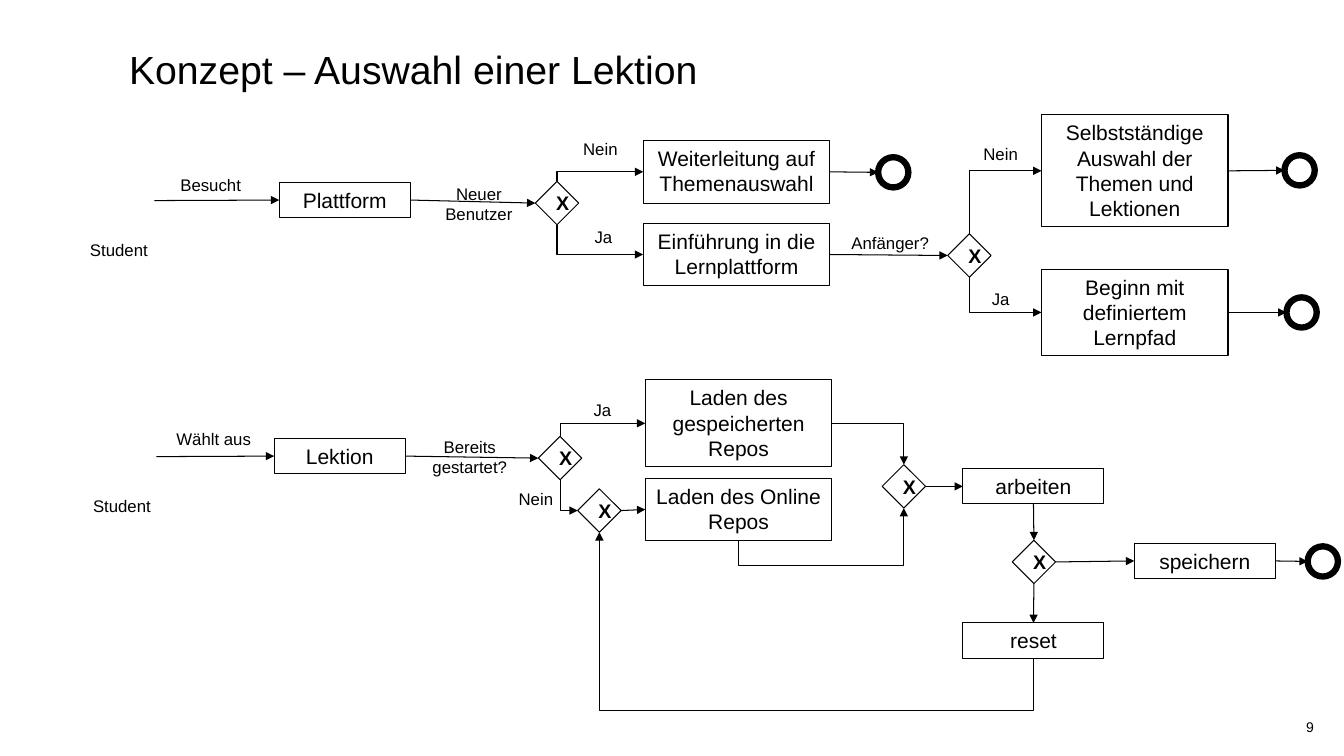
from lxml import etree
from pptx import Presentation
from pptx.dml.color import RGBColor
from pptx.enum.shapes import MSO_CONNECTOR, MSO_SHAPE
from pptx.enum.text import MSO_ANCHOR, MSO_AUTO_SIZE, PP_ALIGN
from pptx.oxml.ns import qn
from pptx.util import Inches, Pt

BLACK = RGBColor(0, 0, 0)
WHITE = RGBColor(255, 255, 255)
STRAIGHT, ELBOW = MSO_CONNECTOR.STRAIGHT, MSO_CONNECTOR.ELBOW
RECTANGLE, DIAMOND = MSO_SHAPE.RECTANGLE, MSO_SHAPE.DIAMOND
END_CIRCLE = MSO_SHAPE.FLOWCHART_CONNECTOR
TOP_ANCHOR, MIDDLE = MSO_ANCHOR.TOP, MSO_ANCHOR.MIDDLE
FIT_SHAPE, NO_FIT = MSO_AUTO_SIZE.SHAPE_TO_FIT_TEXT, MSO_AUTO_SIZE.NONE
LEFT_ALIGN, CENTER, RIGHT_ALIGN = PP_ALIGN.LEFT, PP_ALIGN.CENTER, PP_ALIGN.RIGHT
TOP, LEFT, BOTTOM, RIGHT = range(4)
SIDES = {TOP: (0.5, 0), LEFT: (0, 0.5), BOTTOM: (0.5, 1), RIGHT: (1, 0.5)}


def write(shape, text, size, align=CENTER, anchor=TOP_ANCHOR, fit=NO_FIT, bold=False):
    frame = shape.text_frame
    frame.text = text
    for name, value in {"word_wrap": True, "vertical_anchor": anchor, "auto_size": fit}.items():
        setattr(frame, name, value)
    paragraph = frame.paragraphs[0]
    paragraph.alignment = align
    font = paragraph.runs[0].font
    for name, value in {"name": "Arial", "size": Pt(size), "bold": bold}.items():
        setattr(font, name, value)
    font.color.rgb = BLACK


def add_arrow(kind, start, end):
    arrow = slide.shapes.add_connector(kind, *start, *end)
    arrow.line.color.rgb = BLACK
    arrow.line.width = Pt(0.75)
    etree.SubElement(arrow.line._get_or_add_ln(), qn("a:tailEnd"), type="triangle")
    etree.SubElement(arrow._element.spPr, qn("a:effectLst"))
    return arrow


presentation = Presentation()
presentation.slide_width = Inches(13.33)
presentation.slide_height = Inches(7.5)
slide = presentation.slides.add_slide(presentation.slide_layouts[5])

title = slide.shapes.title
title_place = {"left": 1.18, "top": 0.35, "width": 11.56, "height": 0.67}
for name, value in title_place.items():
    setattr(title, name, Inches(value))
write(title, "Konzept – Auswahl einer Lektion", 28, LEFT_ALIGN, MIDDLE)

page_number = slide.shapes.add_textbox(Inches(11.04), Inches(7.08), Inches(2.09), Inches(0.27))
write(page_number, "9", 10, RIGHT_ALIGN, MIDDLE)

tasks = {
    "platform": ("Plattform", 2.77, 1.81, 1.3, 0.35),
    "forward": ("Weiterleitung auf Themenauswahl", 6.38, 1.39, 1.85, 0.63),
    "intro": ("Einführung in die Lernplattform", 6.38, 2.22, 1.85, 0.61),
    "own_choice": ("Selbstständige Auswahl der Themen und Lektionen", 10.33, 1.14, 1.85, 1.11),
    "learning_path": ("Beginn mit definiertem Lernpfad", 10.33, 2.67, 1.85, 0.86),
    "lesson": ("Lektion", 2.72, 4.35, 1.3, 0.35),
    "load_saved": ("Laden des gespeicherten Repos", 6.4, 3.77, 1.85, 0.86),
    "load_online": ("Laden des Online Repos", 6.4, 4.75, 1.85, 0.61),
    "work": ("arbeiten", 9.55, 4.65, 1.4, 0.35),
    "save": ("speichern", 11.25, 5.39, 1.4, 0.35),
    "reset": ("reset", 9.55, 6.18, 1.4, 0.35),
}
gateways = {
    "new_user": (5.31, 1.8),
    "beginner": (9.4, 2.32),
    "started": (5.34, 4.33),
    "restart": (5.73, 4.85),
    "merge": (8.75, 4.61),
    "finished": (10.04, 5.36),
}
ends = {
    "forward_end": (8.71, 1.56),
    "choice_end": (12.74, 1.54),
    "path_end": (12.76, 2.95),
    "save_end": (12.97, 5.42),
}

nodes = {}
for key, (text, *place) in tasks.items():
    task = slide.shapes.add_shape(RECTANGLE, *map(Inches, place))
    task.fill.background()
    write(task, text, 15, fit=FIT_SHAPE)
    nodes[key] = task
for key, (x, y) in gateways.items():
    gateway = slide.shapes.add_shape(DIAMOND, Inches(x), Inches(y), Inches(0.43), Inches(0.43))
    gateway.fill.solid()
    gateway.fill.fore_color.rgb = WHITE
    write(gateway, "X", 14, anchor=MIDDLE, bold=True)
    nodes[key] = gateway
for key, (x, y) in ends.items():
    end_event = slide.shapes.add_shape(END_CIRCLE, Inches(x), Inches(y), Inches(0.3), Inches(0.3))
    end_event.fill.background()
    nodes[key] = end_event
for key, node in nodes.items():
    node.shadow.inherit = False
    node.line.color.rgb = BLACK
    node.line.width = Pt(4.5 if key in ends else 0.75)

for x, y, key in [(1.53, 1.99, "platform"), (1.55, 4.53, "lesson")]:
    entry = add_arrow(STRAIGHT, (Inches(x), Inches(y)), (Inches(x), Inches(y)))
    entry.end_connect(nodes[key], LEFT)

UP = (90, "flipH", "flipV")
DOWN = (270, "flipH")
BACK = (90, "flipH")
flows = [
    ("platform", RIGHT, "new_user", LEFT, None, None),
    ("new_user", TOP, "forward", LEFT, UP, None),
    ("new_user", BOTTOM, "intro", LEFT, DOWN, None),
    ("forward", RIGHT, "forward_end", LEFT, None, None),
    ("intro", RIGHT, "beginner", LEFT, None, None),
    ("beginner", TOP, "own_choice", LEFT, UP, None),
    ("beginner", BOTTOM, "learning_path", LEFT, DOWN, None),
    ("own_choice", RIGHT, "choice_end", LEFT, None, None),
    ("learning_path", RIGHT, "path_end", LEFT, None, None),
    ("lesson", RIGHT, "started", LEFT, None, None),
    ("started", TOP, "load_saved", LEFT, UP, None),
    ("started", BOTTOM, "restart", LEFT, DOWN, None),
    ("restart", RIGHT, "load_online", LEFT, None, None),
    ("load_saved", RIGHT, "merge", TOP, (0,), None),
    ("load_online", BOTTOM, "merge", BOTTOM, UP, -77400),
    ("merge", RIGHT, "work", LEFT, None, None),
    ("work", BOTTOM, "finished", TOP, None, None),
    ("finished", RIGHT, "save", LEFT, None, None),
    ("save", RIGHT, "save_end", LEFT, None, None),
    ("finished", BOTTOM, "reset", TOP, None, None),
    ("reset", BOTTOM, "restart", BOTTOM, BACK, -41600),
]
for source, source_side, target, target_side, turn, bend in flows:
    (x1, y1), (x2, y2) = [
        (int(nodes[key].left + nodes[key].width * SIDES[side][0]),
         int(nodes[key].top + nodes[key].height * SIDES[side][1]))
        for key, side in [(source, source_side), (target, target_side)]
    ]
    flow = add_arrow(ELBOW if turn else STRAIGHT, (x1, y1), (x2, y2))
    flow.begin_connect(nodes[source], source_side)
    if target not in ends:
        flow.end_connect(nodes[target], target_side)
    if turn:
        angle, *flips = turn
        width, height = abs(x2 - x1), abs(y2 - y1)
        if angle:
            width, height = height, width
        frame = {"left": (x1 + x2 - width) // 2, "top": (y1 + y2 - height) // 2,
                 "width": width, "height": height}
        for name, value in frame.items():
            setattr(flow, name, value)
        transform = flow._element.spPr.find(qn("a:xfrm"))
        for flip in ("flipH", "flipV"):
            transform.set(flip, "1" if flip in flips else "0")
        transform.set("rot", str(angle * 60000))
        geometry = flow._element.spPr.find(qn("a:prstGeom"))
        geometry.set("prst", "bentConnector3" if bend else "bentConnector2")
        if bend:
            etree.SubElement(geometry.find(qn("a:avLst")), qn("a:gd"), name="adj1", fmla=f"val {bend}")

labels = [
    ("Student", 0.53, 2.33, 1.3, 0.3),
    ("Besucht", 1.44, 1.68, 1.3, 0.3),
    ("Neuer Benutzer", 4.1, 1.77, 1.3, 0.5),
    ("Nein", 5.68, 1.33, 0.55, 0.3),
    ("Ja", 5.71, 2.2, 0.55, 0.3),
    ("Anfänger?", 8.18, 2.26, 1.3, 0.5),
    ("Nein", 9.65, 1.38, 0.55, 0.3),
    ("Ja", 9.65, 2.82, 0.55, 0.3),
    ("Student", 0.56, 4.87, 1.3, 0.3),
    ("Wählt aus", 1.47, 4.2, 1.3, 0.3),
    ("Bereits gestartet?", 4.01, 4.28, 1.3, 0.5),
    ("Ja", 5.7, 3.92, 0.55, 0.3),
    ("Nein", 5.04, 4.8, 0.55, 0.3),
]
for text, *place in labels:
    label = slide.shapes.add_textbox(*map(Inches, place))
    write(label, text, 12)

presentation.save("out.pptx")
